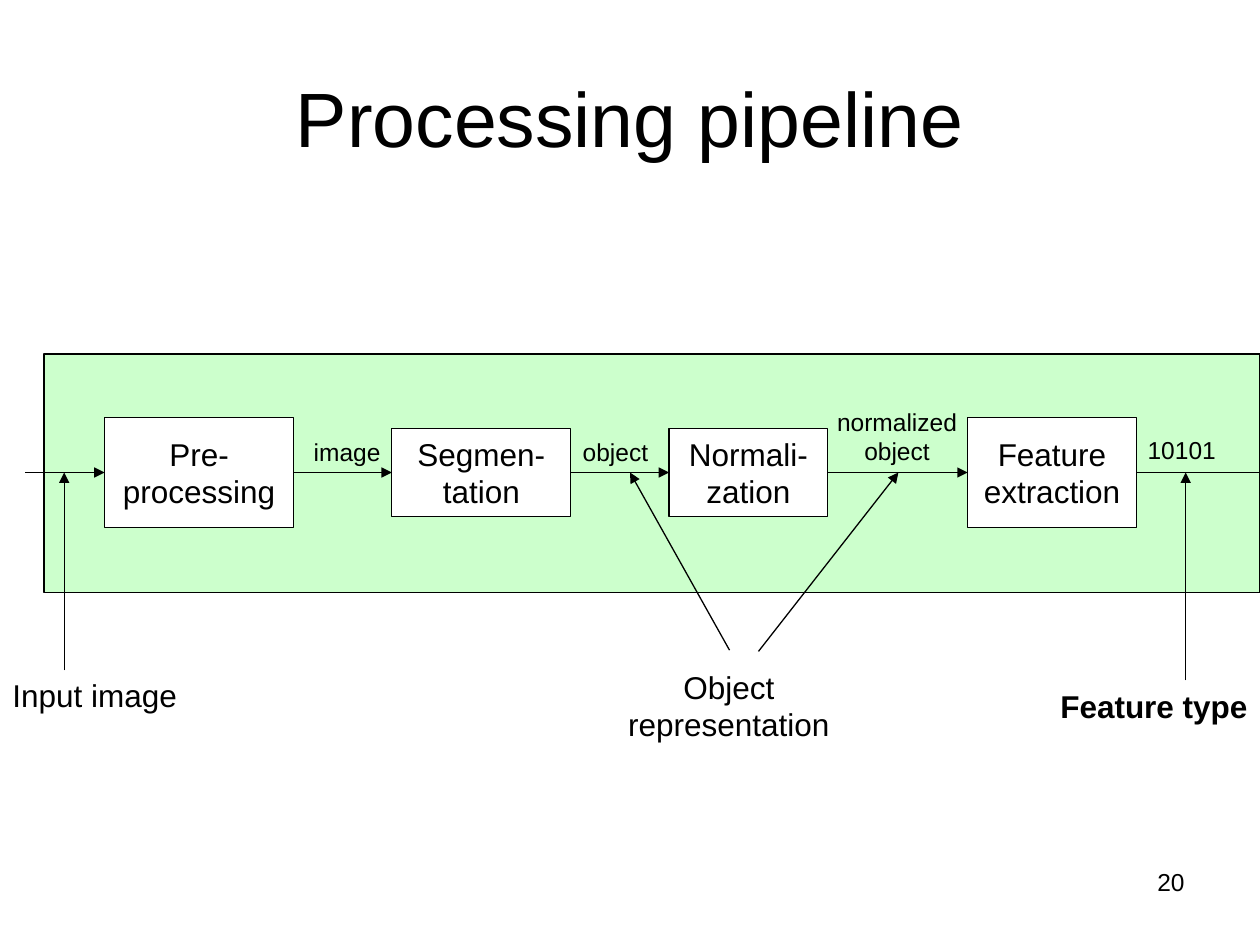
from lxml.etree import SubElement
from pptx import Presentation
from pptx.dml.color import RGBColor
from pptx.enum.shapes import MSO_CONNECTOR, MSO_SHAPE
from pptx.enum.text import MSO_ANCHOR, PP_ALIGN
from pptx.oxml.ns import qn
from pptx.util import Inches, Pt

COLORS = {"ink": "000000", "box": "FFFFFF", "band": "CCFFCC"}
LEFT, CENTER, RIGHT = PP_ALIGN.LEFT, PP_ALIGN.CENTER, PP_ALIGN.RIGHT

prs = Presentation()
prs.slide_width, prs.slide_height = Inches(10), Inches(7.5)
s = prs.slides.add_slide(prs.slide_layouts[6])
unit = prs.slide_width / 100
flow_y = 37.5


def write(sp, text, size, align, anchor=MSO_ANCHOR.TOP, bold=False):
    tf = sp.text_frame
    tf.text = text
    tf.word_wrap = True
    tf.vertical_anchor = anchor
    p = tf.paragraphs[0]
    p.alignment = align
    font = p.runs[0].font
    font.name, font.size, font.bold = "Arial", Pt(size), bold
    font.color.rgb = RGBColor.from_string(COLORS["ink"])


def connect(x1, y1, x2, y2, start=None, end=None, arrow=True):
    line = s.shapes.add_connector(
        MSO_CONNECTOR.STRAIGHT, *[round(v * unit) for v in (x1, y1, x2, y2)])
    if start is not None:
        line.begin_connect(start, 3)
    if end is not None:
        line.end_connect(end, 1)
    line.line.width = Pt(0.75)
    line.line.color.rgb = RGBColor.from_string(COLORS["ink"])
    if arrow:
        SubElement(line.line._get_or_add_ln(), qn("a:tailEnd"), type="triangle")
    SubElement(line._element.spPr, qn("a:effectLst"))


rects = [
    (3.5, 96.5, 18.9, 28.1, "band", None),
    (8.3, 15, 8.7, 33.15, "box", "Pre-processing"),
    (31.1, 14.2, 7, 34, "box", "Segmen-tation"),
    (53.1, 12.6, 7, 34, "box", "Normali-zation"),
    (76.8, 13.4, 8.7, 33.15, "box", "Feature extraction"),
]
stages = []
for x, w, h, y, fill, text in rects:
    sp = s.shapes.add_shape(
        MSO_SHAPE.RECTANGLE, *[round(v * unit) for v in (x, y, w, h)])
    sp.shadow.inherit = False
    sp.fill.solid()
    sp.fill.fore_color.rgb = RGBColor.from_string(COLORS[fill])
    sp.line.color.rgb = RGBColor.from_string(COLORS["ink"])
    sp.line.width = Pt(0.75)
    if text:
        write(sp, text, 18, CENTER, MSO_ANCHOR.MIDDLE)
        stages.append(sp)

connect(2, flow_y, 8.3, flow_y, end=stages[0])
for a, b in zip(stages, stages[1:]):
    connect(0, flow_y, 1, flow_y, start=a, end=b)
connect(90.2, flow_y, 100, flow_y, start=stages[-1], arrow=False)

for x1, y1, x2 in [(5.1, 53.2, 5.1), (57.9, 51.6, 50),
                   (60.2, 51.7, 71.3), (94.1, 54, 94.1)]:
    connect(x1, y1, x2, flow_y)

labels = [
    ("Processing pipeline", 5, 3, 90, 12.5, 44, CENTER, MSO_ANCHOR.MIDDLE, False),
    ("image", 23.2, 34.2, 8.7, 3.4, 14, CENTER, MSO_ANCHOR.TOP, False),
    ("object", 44.5, 34.2, 8.7, 3.4, 14, CENTER, MSO_ANCHOR.TOP, False),
    ("normalized object", 64.9, 31.8, 12.6, 5.7, 14, CENTER, MSO_ANCHOR.TOP, False),
    ("10101", 90.1, 34, 8.7, 3.4, 14, LEFT, MSO_ANCHOR.TOP, False),
    ("Input image", 0, 53.2, 19.3, 4, 18, LEFT, MSO_ANCHOR.TOP, False),
    ("Object representation", 47.6, 52.5, 20.5, 7, 18, CENTER, MSO_ANCHOR.TOP, False),
    ("Feature type", 79.1, 54, 20.9, 4, 18, RIGHT, MSO_ANCHOR.TOP, True),
    ("20", 71.7, 68.3, 23.3, 5.2, 14, RIGHT, MSO_ANCHOR.TOP, False),
]
for text, x, y, w, h, size, align, anchor, bold in labels:
    sp = s.shapes.add_textbox(*[round(v * unit) for v in (x, y, w, h)])
    write(sp, text, size, align, anchor, bold)

prs.save("out.pptx")
